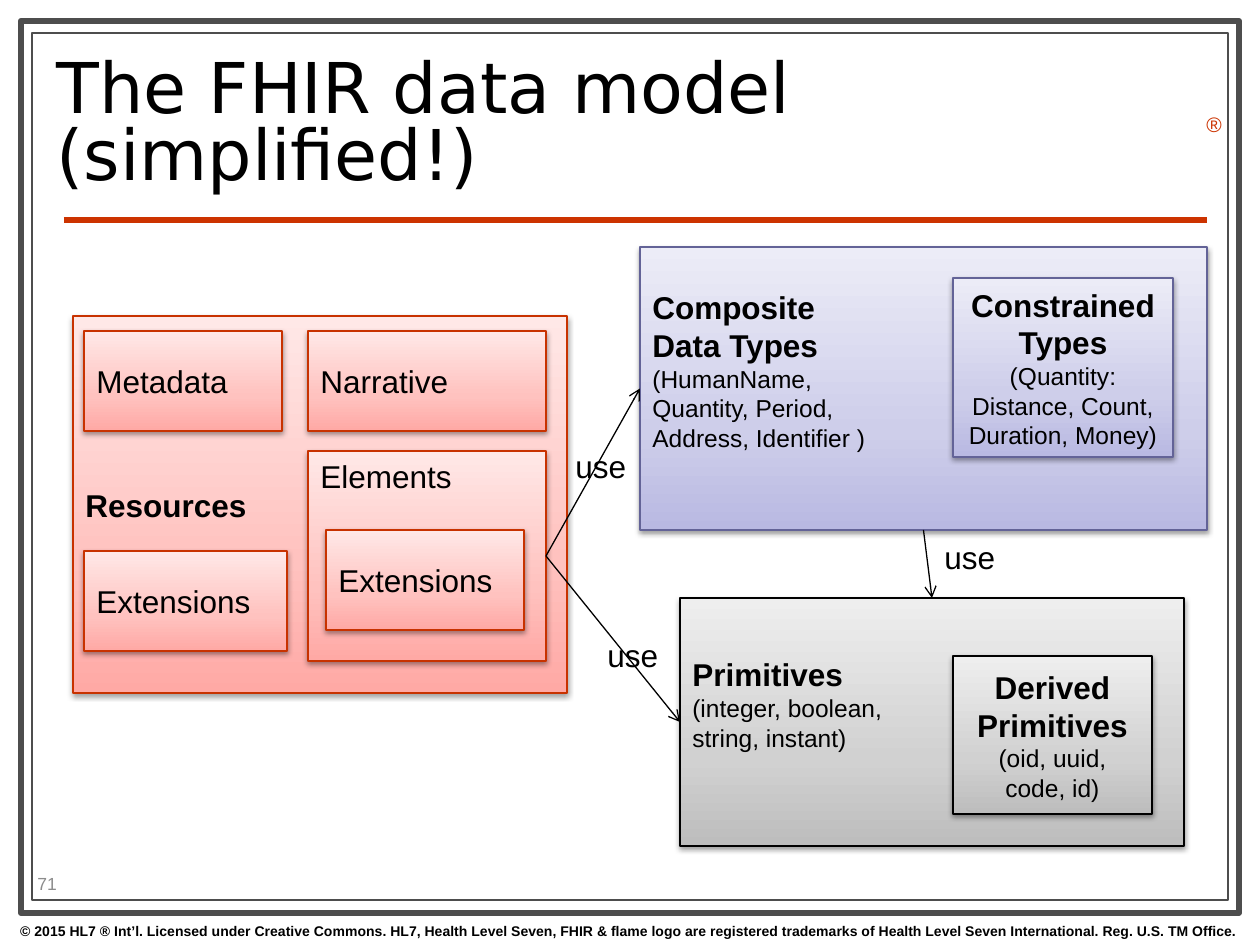
"""Build the slide on the simplified FHIR data model."""
from copy import deepcopy

from lxml import etree
from pptx import Presentation
from pptx import util as u
from pptx.dml.color import RGBColor
from pptx.enum import shapes, text
from pptx.oxml.ns import qn

PX = u.Inches(10) / 1260
THEME = {
    "font": "Arial", "title_font": "DejaVu Sans",
    "title": 40, "head": 18, "body": 14, "mark": 12, "number": 10, "legal": 8,
    "black": "000000", "white": "FFFFFF", "frame": "4D4D4D", "accent": "CC3300", "grey": "8C8C8C",
    "red": ("C83200", ["FFA9A5", "FFC2BF", "FFE8E7"]),
    "violet": ("636397", ["B9B9E2", "CECEEA", "ECECF7"]),
    "silver": ("000000", ["BDBDBD", "D1D1D1", "EEEEEE"]),
}
STOPS = [0, 0.35, 1]
LEFT, CENTER = text.PP_ALIGN.LEFT, text.PP_ALIGN.CENTER
TOP, MIDDLE = text.MSO_ANCHOR.TOP, text.MSO_ANCHOR.MIDDLE


def px(*values):
    return [u.Emu(round(v * PX)) for v in values]


def write(sp, lines, align=LEFT, color="black", font="font", spacing=1.0, **frame):
    tf = sp.text_frame
    frame = {"word_wrap": True, "vertical_anchor": TOP, "auto_size": text.MSO_AUTO_SIZE.NONE, **frame}
    for name, value in frame.items():
        setattr(tf, name, value)
    for i, (words, size, bold) in enumerate(lines):
        p = tf.paragraphs[0] if i == 0 else tf.add_paragraph()
        p.alignment, p.line_spacing = align, spacing
        r = p.add_run()
        r.text = words
        r.font.color.rgb = RGBColor.from_string(THEME[color])
        for name, value in {"name": THEME[font], "size": u.Pt(THEME[size]), "bold": bold}.items():
            setattr(r.font, name, value)


prs = Presentation()
prs.slide_width, prs.slide_height = px(1260, 945)
s = prs.slides.add_slide(prs.slide_layouts[5])

for box, width in [((21, 21, 1218, 892), 3.5), ((32, 33, 1196, 867), 0.75)]:
    sp = s.shapes.add_shape(shapes.MSO_SHAPE.RECTANGLE, *px(*box))
    sp.shadow.inherit = False
    sp.fill.solid()
    sp.fill.fore_color.rgb = RGBColor.from_string(THEME["white"])
    sp.line.color.rgb = RGBColor.from_string(THEME["frame"])
    sp.line.width = u.Pt(width)

title = s.shapes.title
title.left, title.top, title.width, title.height = px(44, 45, 903, 163)
title._element.getparent().append(title._element)
write(title, [("The FHIR data model (simplified!)", "title", False)],
      font="title_font", spacing=0.8, vertical_anchor=MIDDLE)

legal = ("© 2015 HL7 ® Int’l. Licensed under Creative Commons. HL7, Health Level Seven, FHIR & flame logo "
         "are registered trademarks of Health Level Seven International. Reg. U.S. TM Office.")
labels = [
    ((0, 916, 1259, 29), legal, "legal", True, {"align": CENTER}),
    ((1194, 105, 39, 38), "®", "mark", False, {"color": "accent", "word_wrap": False}),
    ((25, 868, 100, 30), "71", "number", False, {"color": "grey", "vertical_anchor": MIDDLE}),
    *[((x, y, 77, 50), "use", "head", False, {"word_wrap": False})
      for x, y in [(932, 532), (563, 441), (595, 630)]],
]

# fmt: off
boxes = {
    "resources": ((73, 316, 494, 377), "red", [("Resources", "head", True)], {}),
    "narrative": ((308, 331, 238, 100), "red", [("Narrative", "head", False)], {}),
    "elements": ((308, 451, 238, 210), "red", [("Elements", "head", False)], {"vertical_anchor": TOP}),
    "element extensions": ((326, 530, 198, 100), "red", [("Extensions", "head", False)], {}),
    "extensions": ((84, 551, 203, 100), "red", [("Extensions", "head", False)], {}),
    "metadata": ((84, 331, 198, 100), "red", [("Metadata", "head", False)], {}),
    "primitives": ((680, 598, 504, 248), "silver", [
        ("Primitives", "head", True), ("(integer, boolean,", "body", False),
        ("string, instant)", "body", False)], {"margin_bottom": px(43)[0]}),
    "derived": ((953, 656, 199, 158), "silver", [
        ("Derived Primitives", "head", True), ("(oid, uuid,", "body", False),
        ("code, id)", "body", False)], {"align": CENTER}),
    "composite": ((640, 247, 567, 283), "violet", [
        ("Composite", "head", True), ("Data Types", "head", True), ("(HumanName,", "body", False),
        ("Quantity, Period,", "body", False), ("Address, Identifier )", "body", False)],
        {"margin_bottom": px(43)[0]}),
    "constrained": ((953, 278, 220, 179), "violet", [
        ("Constrained Types", "head", True),
        ("(Quantity: Distance, Count, Duration, Money)", "body", False)], {"align": CENTER}),
}
# fmt: on
made = {}
for name, (box, palette, lines, options) in boxes.items():
    edge, colors = THEME[palette]
    sp = made[name] = s.shapes.add_shape(shapes.MSO_SHAPE.RECTANGLE, *px(*box))
    sp.line.color.rgb = RGBColor.from_string(edge)
    sp.line.width = u.Pt(0.75)
    sp.fill.gradient()
    sp.fill.gradient_angle = 90
    stops = sp._element.spPr.find(qn("a:gradFill")).find(qn("a:gsLst"))
    stops.append(deepcopy(stops[-1]))
    for stop, position, color in zip(sp.fill.gradient_stops, STOPS, colors):
        stop.position = position
        stop.color.rgb = RGBColor.from_string(color)
    sp.shadow.inherit = False
    effects = sp._element.spPr.find(qn("a:effectLst"))
    shadow = etree.SubElement(effects, qn("a:outerShdw"), blurRad="40000", dist="20000",
                              dir="5400000", rotWithShape="0")
    tone = etree.SubElement(shadow, qn("a:srgbClr"), val=THEME["black"])
    etree.SubElement(tone, qn("a:alpha"), val="38000")
    write(sp, lines, **{"vertical_anchor": MIDDLE, **options})

for box, words, size, bold, options in labels:
    write(s.shapes.add_textbox(*px(*box)), [(words, size, bold)], **options)

links = [("elements", 3, "composite", 1), ("elements", 3, "primitives", 1), ("composite", 2, "primitives", 0)]
for link in [None, *links]:
    line = s.shapes.add_connector(shapes.MSO_CONNECTOR.STRAIGHT, *px(64, 220, 1207, 220))
    line.line.color.rgb = RGBColor.from_string(THEME["black" if link else "accent"])
    line.line.width = u.Pt(0.75 if link else 3)
    if link:
        start, start_site, end, end_site = link
        line.begin_connect(made[start], start_site)
        line.end_connect(made[end], end_site)
        etree.SubElement(line.line._get_or_add_ln(), qn("a:tailEnd"), type="arrow")
    etree.SubElement(line._element.spPr, qn("a:effectLst"))

prs.save("out.pptx")
